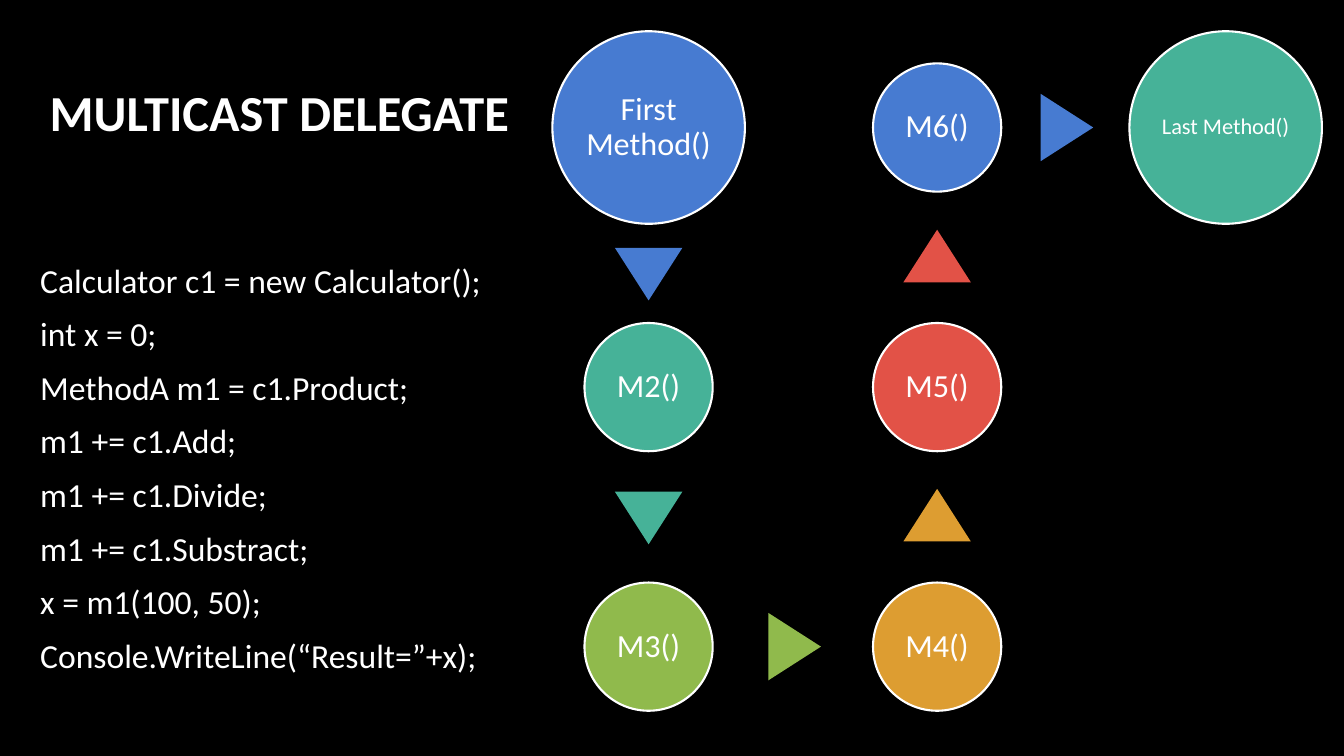
import pptx
import pptx.util
import pptx.dml.color
import pptx.enum.shapes
import pptx.enum.text

Pt = pptx.util.Pt
SHAPE = pptx.enum.shapes.MSO_SHAPE
ALIGN = pptx.enum.text.PP_ALIGN

HUES = {
    "black": "000000",
    "white": "FFFFFF",
    "blue": "477BD1",
    "teal": "46B298",
    "green": "90BA4C",
    "gold": "DD9D31",
    "red": "E25247",
}
COLS = [463.3 + 206.1 * i for i in range(3)]
ROWS = [91.1 + 185.4 * i for i in range(3)]
BIG, SMALL = 137.5, 91.6

NODES = [
    ("First Method()", 0, 0, BIG, "blue", 23),
    ("M2()", 0, 1, SMALL, "teal", 23),
    ("M3()", 0, 2, SMALL, "green", 23),
    ("M4()", 1, 2, SMALL, "gold", 23),
    ("M5()", 1, 1, SMALL, "red", 23),
    ("M6()", 1, 0, SMALL, "blue", 23),
    ("Last Method()", 2, 0, BIG, "teal", 16),
]
HEADS = [
    (COLS[0], 195.8, 180, "blue"),
    (COLS[0], 370, 180, "teal"),
    (567.6, ROWS[2], 90, "green"),
    (COLS[1], 368, 0, "gold"),
    (COLS[1], 182.9, 0, "red"),
    (762.1, ROWS[0], 90, "blue"),
]
CODE = [
    "Calculator c1 = new Calculator();",
    "int x = 0;",
    "MethodA m1 = c1.Product;",
    "m1 += c1.Add;",
    "m1 += c1.Divide;",
    "m1 += c1.Substract;",
    "x = m1(100, 50);",
    "Console.WriteLine(“Result=”+x);",
]


def color(name):
    return pptx.dml.color.RGBColor.from_string(HUES[name])


def write(shape, lines, size=24, bold=False, align=ALIGN.LEFT,
          after=0, pitch=1.0, inset=None):
    frame = shape.text_frame
    frame.word_wrap = True
    frame.vertical_anchor = pptx.enum.text.MSO_ANCHOR.MIDDLE
    if inset is not None:
        frame.margin_left = frame.margin_right = Pt(inset)
        frame.margin_top = frame.margin_bottom = Pt(inset)
    for i, line in enumerate(lines):
        para = frame.add_paragraph() if i else frame.paragraphs[0]
        para.alignment = align
        para.space_after = Pt(after)
        para.line_spacing = pitch
        run = para.add_run()
        run.text = line
        run.font.name = "Calibri"
        run.font.size = Pt(size)
        run.font.bold = bold
        run.font.color.rgb = color("white")


def box(slide, x, y, w, h, lines, **style):
    write(slide.shapes.add_textbox(Pt(x), Pt(y), Pt(w), Pt(h)), lines, **style)


def solid(slide, kind, x, y, w, h, hue):
    shape = slide.shapes.add_shape(
        kind, Pt(x - w / 2), Pt(y - h / 2), Pt(w), Pt(h))
    shape.shadow.inherit = False
    shape.fill.solid()
    shape.fill.fore_color.rgb = color(hue)
    shape.line.fill.background()
    return shape


def node(slide, label, col, row, width, hue, size):
    disc = solid(slide, SHAPE.OVAL, COLS[col], ROWS[row], width, width, hue)
    disc.line.color.rgb = color("white")
    disc.line.width = Pt(1.5)
    write(disc, [label], size=size, align=ALIGN.CENTER, pitch=0.9, inset=2)


def head(slide, x, y, turn, hue):
    shape = solid(slide, SHAPE.ISOSCELES_TRIANGLE, x, y, 48.2, 37.6, hue)
    shape.rotation = turn


def main():
    deck = pptx.Presentation()
    deck.slide_width = Pt(960)
    deck.slide_height = Pt(540)
    slide = deck.slides.add_slide(deck.slide_layouts[6])
    slide.background.fill.solid()
    slide.background.fill.fore_color.rgb = color("black")
    box(slide, 28.4, 22.3, 393, 114.5, ["MULTICAST DELEGATE"],
        size=36, bold=True)
    box(slide, 21.6, 136.8, 375, 394, CODE, after=9.5)
    for item in NODES:
        node(slide, *item)
    for item in HEADS:
        head(slide, *item)
    deck.save("out.pptx")


if __name__ == "__main__":
    main()
